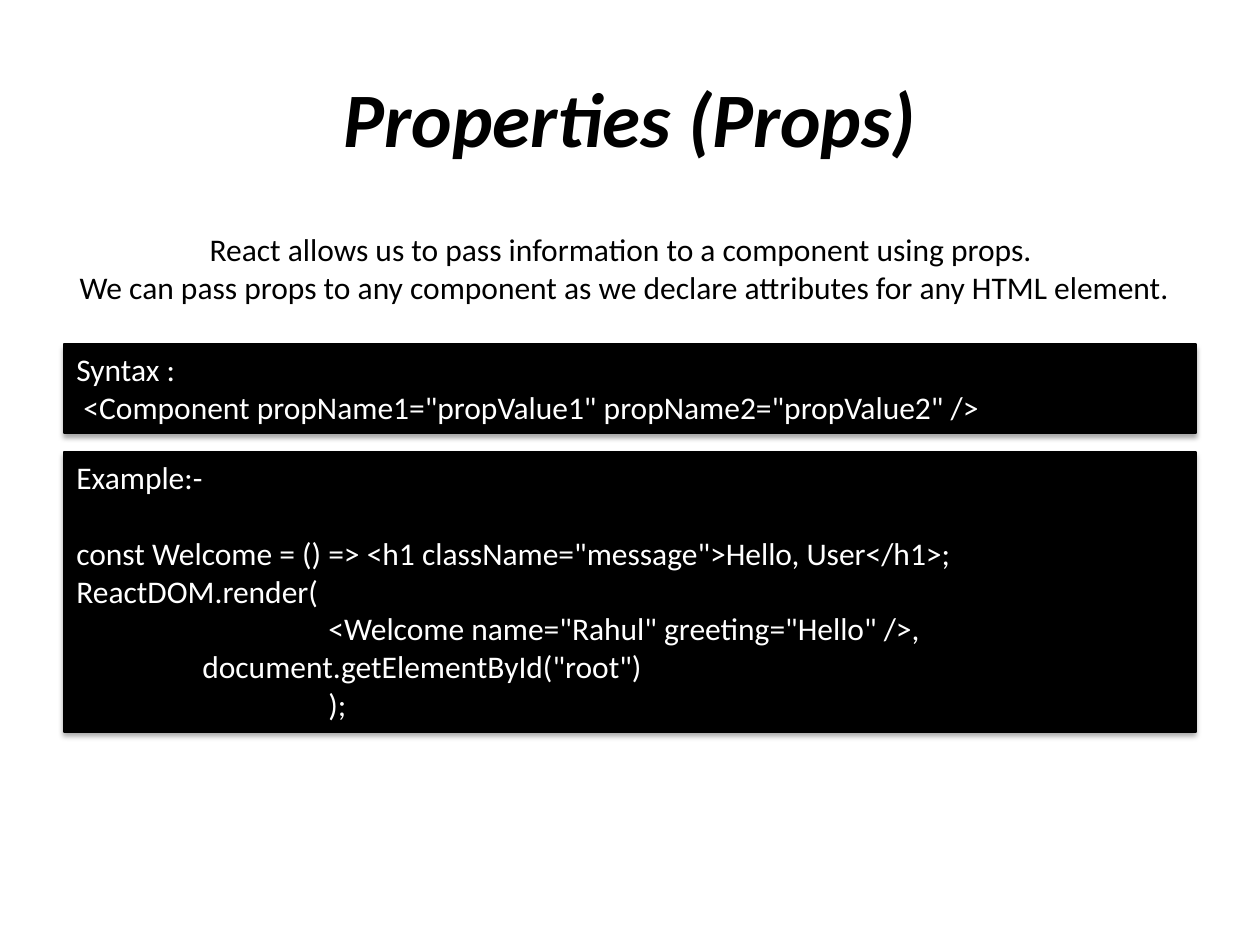
from lxml.etree import SubElement
from pptx import Presentation
from pptx.dml.color import RGBColor
from pptx.enum.shapes import MSO_SHAPE
from pptx.enum.text import MSO_ANCHOR, PP_ALIGN
from pptx.oxml.ns import qn
from pptx.util import Emu, Pt

COLORS = {"black": "000000", "white": "FFFFFF"}
FONT = "Calibri"
SCALE = 914400 / 126
TAB = 126


def px(size):
    """Turn pixels into EMU."""
    return Emu(round(size * SCALE))


def color(name):
    """Look up a palette colour."""
    return RGBColor.from_string(COLORS[name])


def write(shape, lines, size=18, ink="black", align=PP_ALIGN.LEFT,
          anchor=MSO_ANCHOR.TOP, bold=False, italic=False, gap=0):
    """Fill a shape with (text, indent) lines, with a gap after the first."""
    frame = shape.text_frame
    frame.word_wrap = True
    frame.vertical_anchor = anchor
    for i, (text, indent) in enumerate(lines):
        para = frame.add_paragraph() if i else frame.paragraphs[0]
        para.alignment = align
        para.space_after = Pt(0 if i else gap)
        if indent:
            para._p.get_or_add_pPr().set("marL", str(px(indent)))
        run = para.add_run()
        run.text = text
        font = run.font
        font.name, font.size = FONT, Pt(size)
        font.bold, font.italic = bold, italic
        font.color.rgb = color(ink)


def label(slide, area, lines, **form):
    """Add a centred text box."""
    box = slide.shapes.add_textbox(*map(px, area))
    write(box, lines, align=PP_ALIGN.CENTER, **form)


def shade(shape):
    """Give a shape a soft shadow below it."""
    shape.shadow.inherit = False
    effects = shape._element.spPr.find(qn("a:effectLst"))
    outer = SubElement(effects, qn("a:outerShdw"), blurRad=str(Pt(3.1)),
                       dist=str(Pt(1.8)), dir="5400000", rotWithShape="0")
    tint = SubElement(outer, qn("a:srgbClr"), val=COLORS["black"])
    SubElement(tint, qn("a:alpha"), val="35000")


def panel(slide, top, height, lines, **form):
    """Add a black code panel."""
    box = slide.shapes.add_shape(
        MSO_SHAPE.RECTANGLE, *map(px, (64, top, 1132, height)))
    box.fill.solid()
    box.fill.fore_color.rgb = color("black")
    box.line.color.rgb = color("black")
    box.line.width = Pt(0.75)
    shade(box)
    write(box, lines, ink="white", **form)


def main():
    """Build the slide on props."""
    deck = Presentation()
    deck.slide_width, deck.slide_height = px(1260), px(945)
    slide = deck.slides.add_slide(deck.slide_layouts[6])
    label(slide, (63, 38, 1134, 158), [("Properties (Props)", 0)],
          size=44, bold=True, italic=True, anchor=MSO_ANCHOR.MIDDLE)
    label(slide, (64, 224, 1121, 89), [
        ("React allows us to pass information to a component using props. ", 0),
        ("We can pass props to any component as we declare attributes "
         "for any HTML element.", 0)])
    panel(slide, 344, 89, [
        ("Syntax :", 0),
        (' <Component propName1="propValue1" propName2="propValue2" />', 0)])
    panel(slide, 452, 280, [
        ("Example:-", 0),
        ('const Welcome = () => <h1 className="message">Hello, User</h1>;', 0),
        ("ReactDOM.render(", 0),
        ('<Welcome name="Rahul" greeting="Hello" />,', 2 * TAB),
        ('document.getElementById("root")', TAB),
        (");", 2 * TAB)], gap=21.6)
    deck.save("out.pptx")


if __name__ == "__main__":
    main()
